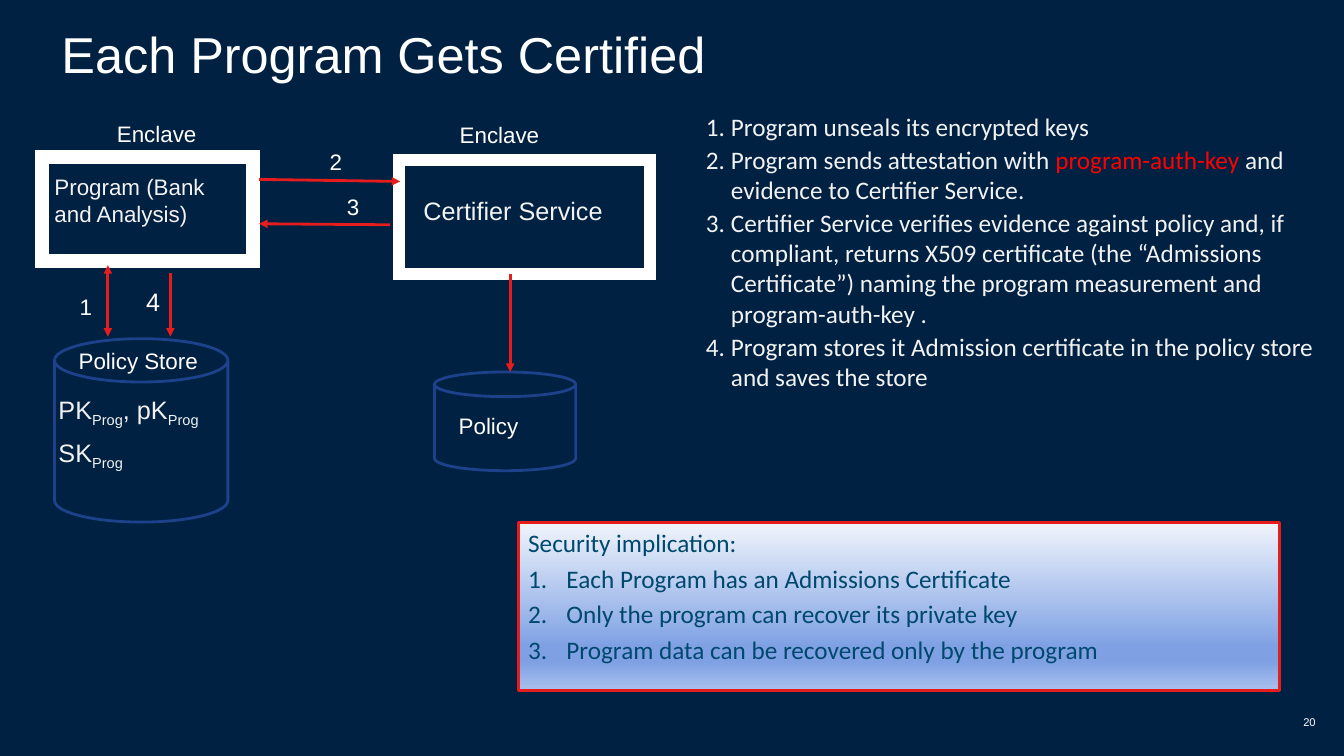
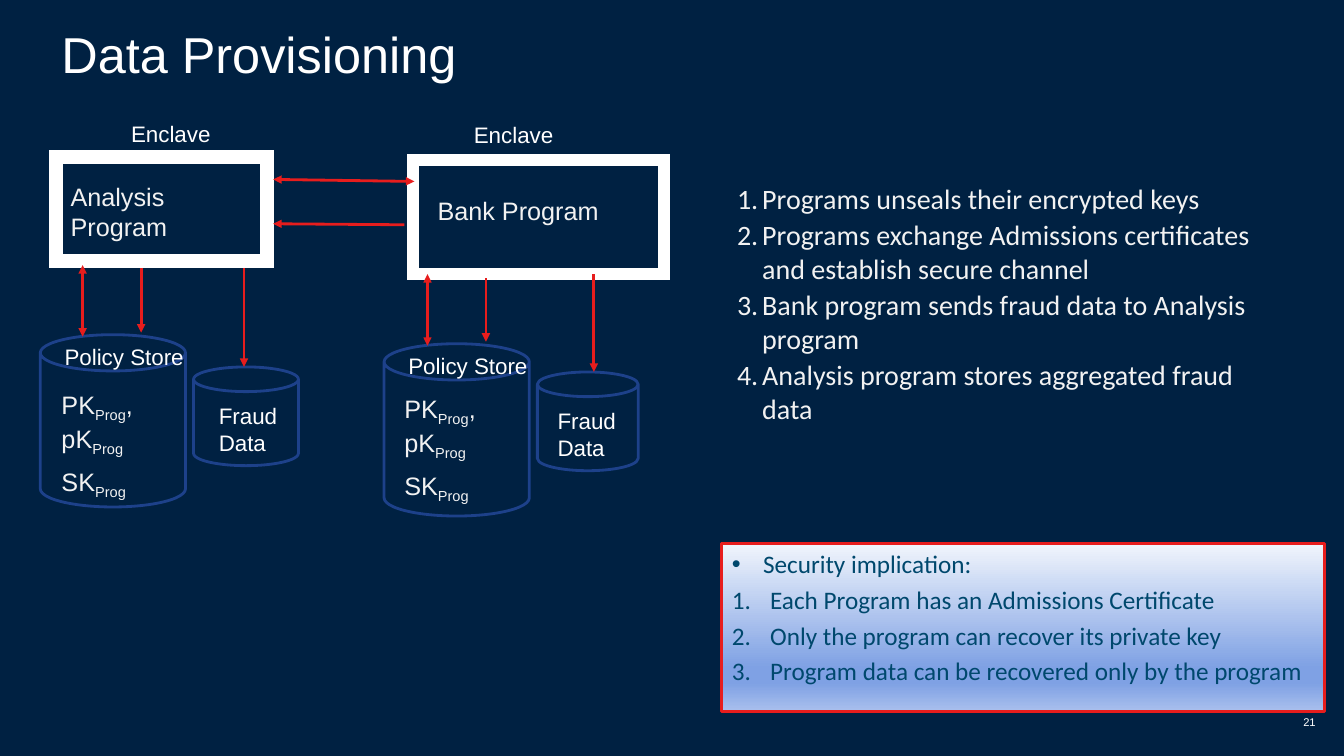
from copy import deepcopy
from dataclasses import dataclass
from typing import Optional

from lxml.etree import SubElement
from pptx import Presentation
from pptx.dml.color import RGBColor
from pptx.enum.shapes import MSO_CONNECTOR, MSO_SHAPE
from pptx.enum.text import MSO_ANCHOR, MSO_AUTO_SIZE, PP_ALIGN
from pptx.oxml.ns import qn
from pptx.util import Emu, Pt

PX = 9144  # EMU per px, 100 px to the inch
NAVY = RGBColor(0x00, 0x21, 0x42)
WHITE = RGBColor(0xFF, 0xFF, 0xFF)
PALE = RGBColor(0xF2, 0xF2, 0xF2)
RED = RGBColor(0xE7, 0x1D, 0x1D)
BRIGHT = RGBColor(0xFF, 0x00, 0x00)
BLUE = RGBColor(0x1D, 0x41, 0x8A)
TEAL = RGBColor(0x00, 0x48, 0x6D)
FADE = [
    (0, RGBColor(0xF1, 0xF5, 0xFC)),
    (0.74, RGBColor(0x7F, 0xA1, 0xE4)),
    (0.83, RGBColor(0x7F, 0xA1, 0xE4)),
    (1, RGBColor(0xAA, 0xC0, 0xED)),
]
SANS = "Arial"
BODY = "Calibri"


@dataclass(frozen=True)
class Box:
    x: int
    y: int
    w: int
    h: int

    def emu(self) -> list[Emu]:
        return [Emu(n * PX) for n in (self.x, self.y, self.w, self.h)]


@dataclass(frozen=True)
class Span:
    text: str
    color: Optional[RGBColor] = None
    sub: bool = False


@dataclass(frozen=True)
class Style:
    size: int
    color: RGBColor = WHITE
    font: str = SANS
    lead: float = 1.0
    before: int = 0
    after: int = 0
    align: PP_ALIGN = PP_ALIGN.LEFT


@dataclass(frozen=True)
class Label:
    box: Box
    text: str
    style: Style


@dataclass(frozen=True)
class Arrow:
    x1: int
    y1: int
    x2: int
    y2: int
    both: bool = False


@dataclass(frozen=True)
class Store:
    can: Box
    keys: Box


TITLE = Style(36, lead=0.9)
FOOT = Style(8, lead=0.9, align=PP_ALIGN.RIGHT)
TAG = Style(16, lead=1.3)
NAME = Style(16, after=6)
SMALL = Style(16, PALE, after=6)
LARGE = Style(18, PALE, after=6)
NOTE = Style(18, TEAL, BODY, after=4)

KEYS = [
    [Span("PK"), Span("Prog", sub=True), Span(", pK"), Span("Prog", sub=True)],
    [Span("SK"), Span("Prog", sub=True)],
]
CLAIMS = [
    "Security implication:",
    "Each Program has an Admissions Certificate",
    "Only the program can recover its private key",
    "Program data can be recovered only by the program",
]


def set_frame(frame, anchor=MSO_ANCHOR.TOP, pad: bool = False) -> None:
    frame.auto_size = MSO_AUTO_SIZE.NONE
    frame.word_wrap = True
    frame.vertical_anchor = anchor
    wide, high = (10, 5) if pad else (0, 0)
    frame.margin_left = frame.margin_right = Emu(wide * PX)
    frame.margin_top = frame.margin_bottom = Emu(high * PX)


def add_mark(para, mark: str, indent: int) -> None:
    """Give a paragraph a hanging number ("1.") or bullet sign."""
    props = para._p.get_or_add_pPr()
    props.set("marL", str(indent * PX))
    props.set("indent", str(-indent * PX))
    font = SubElement(props, qn("a:buFont"))
    font.set("typeface", BODY if mark == "1." else SANS)
    if mark == "1.":
        SubElement(props, qn("a:buAutoNum")).set("type", "arabicPeriod")
    else:
        SubElement(props, qn("a:buChar")).set("char", mark)


def write(frame, paras, style: Style, marks=()) -> None:
    """Fill a frame; marks holds one (sign, indent) or None per paragraph."""
    for i, spans in enumerate(paras):
        para = frame.paragraphs[0] if i == 0 else frame.add_paragraph()
        if marks and marks[i]:
            add_mark(para, *marks[i])
        para.alignment = style.align
        para.line_spacing = style.lead
        para.space_before = Pt(style.before if i else 0)
        para.space_after = Pt(style.after)
        for span in spans:
            run = para.add_run()
            run.text = span.text
            run.font.size = Pt(style.size)
            run.font.name = style.font
            run.font.color.rgb = span.color or style.color
            if span.sub:
                run._r.get_or_add_rPr().set("baseline", "-25000")


def add_text(slide, box: Box, paras, style: Style, anchor=MSO_ANCHOR.TOP) -> None:
    frame = slide.shapes.add_textbox(*box.emu()).text_frame
    set_frame(frame, anchor)
    write(frame, paras, style)


def add_label(slide, label: Label) -> None:
    add_text(slide, label.box, [[Span(label.text)]], label.style)


def add_form(slide, kind, box: Box, color: RGBColor, width: float):
    form = slide.shapes.add_shape(kind, *box.emu())
    form.shadow.inherit = False
    form.fill.background()
    form.line.color.rgb = color
    form.line.width = Pt(width)
    return form


def add_can(slide, box: Box) -> None:
    add_form(slide, MSO_SHAPE.CAN, box, BLUE, 2)


def add_frame(slide, box: Box, width: float) -> None:
    """Draw the thick, sharp-edged outline of an enclave."""
    form = add_form(slide, MSO_SHAPE.RECTANGLE, box, WHITE, width)
    SubElement(form.line._get_or_add_ln(), qn("a:miter")).set("lim", "800000")


def add_arrow(slide, arrow: Arrow) -> None:
    ends = [Emu(n * PX) for n in (arrow.x1, arrow.y1, arrow.x2, arrow.y2)]
    link = slide.shapes.add_connector(MSO_CONNECTOR.STRAIGHT, *ends)
    link.line.color.rgb = RED
    link.line.width = Pt(2)
    line = link.line._get_or_add_ln()
    for tag in ("a:headEnd", "a:tailEnd") if arrow.both else ("a:tailEnd",):
        SubElement(line, qn(tag)).set("type", "triangle")
    SubElement(link._element.spPr, qn("a:effectLst"))


def add_store(slide, store: Store) -> None:
    can = store.can
    add_can(slide, can)
    add_text(slide, store.keys, KEYS, LARGE)
    add_label(slide, Label(Box(can.x + 24, can.y + 8, 141, 31), "Policy Store", NAME))


def add_pair(slide, dx: int, left: Label, right: str, swap: bool) -> None:
    """Draw both enclaves and the two arrows between them."""
    add_frame(slide, Box(396 + dx, 159, 249, 113), 8.5)
    add_frame(slide, Box(42 + dx, 156, 209, 103), 10)
    add_label(slide, left)
    add_label(slide, Label(Box(420 + dx, 194, 220, 30), right, LARGE))
    for x, y in ((456, 112), (116, 111)):
        add_label(slide, Label(Box(x + dx, y, 134, 32), "Enclave", TAG))
    add_arrow(slide, Arrow(257 + dx, 178, 397 + dx, 180, swap))
    add_arrow(slide, Arrow(387 + dx, 223, 257 + dx, 222))


def add_claims(slide, box: Box, first) -> None:
    form = add_form(slide, MSO_SHAPE.RECTANGLE, box, RED, 2.25)
    form.fill.gradient()
    form.fill.gradient_angle = 270
    stops = form._element.spPr.find(".//" + qn("a:gsLst"))
    while len(stops) < len(FADE):
        stops.append(deepcopy(stops[0]))
    for stop, (place, color) in zip(form.fill.gradient_stops, FADE):
        stop.position = place
        stop.color.rgb = color
    set_frame(form.text_frame, pad=True)
    marks = [first] + [("1.", 38)] * 3
    write(form.text_frame, [[Span(text)] for text in CLAIMS], NOTE, marks)


def add_slide(deck, number: int, title: str, box: Box, steps, size: int):
    """Start a slide with its title, numbered steps and page number."""
    slide = deck.slides.add_slide(deck.slide_layouts[1])
    head, body = slide.shapes.title, slide.placeholders[1]
    for holder, place in ((head, Box(61, 19, 1203, 65)), (body, box)):
        holder.left, holder.top, holder.width, holder.height = place.emu()
    set_frame(head.text_frame, MSO_ANCHOR.BOTTOM)
    write(head.text_frame, [[Span(title)]], TITLE)
    set_frame(body.text_frame)
    style = Style(size, PALE, BODY, before=2)
    write(body.text_frame, steps, style, [("1.", 25)] * len(steps))
    page = Box(1257, 707, 48, 20)
    add_text(slide, page, [[Span(str(number))]], FOOT, MSO_ANCHOR.MIDDLE)
    return slide


def add_parts(slide, stores, cans, labels, arrows) -> None:
    for draw, parts in (
        (add_store, stores),
        (add_can, cans),
        (add_label, labels),
        (add_arrow, arrows),
    ):
        for part in parts:
            draw(slide, part)


def build_certs(deck) -> None:
    steps = [
        [Span("Program unseals its encrypted keys")],
        [
            Span("Program sends attestation with "),
            Span("program-auth-key ", BRIGHT),
            Span("and evidence to Certifier Service."),
        ],
        [Span("Certifier Service verifies evidence against policy and, if compliant, "
              "returns X509 certificate (the “Admissions Certificate”) naming the "
              "program measurement and program-auth-key .")],
        [Span("Program stores it Admission certificate in the policy store "
              "and saves the store")],
    ]
    slide = add_slide(deck, 20, "Each Program Gets Certified",
                      Box(700, 110, 615, 337), steps, 18)
    left = Label(Box(54, 172, 171, 66), "Program (Bank and Analysis)", SMALL)
    add_pair(slide, 0, left, "Certifier Service", False)
    add_parts(
        slide,
        [Store(Box(54, 336, 172, 182), Box(58, 391, 161, 95))],
        [Box(431, 369, 140, 98)],
        [
            Label(Box(455, 409, 86, 28), "Policy", NAME),
            Label(Box(79, 283, 29, 32), "1", TAG),
            Label(Box(327, 139, 34, 32), "2", TAG),
            Label(Box(344, 184, 34, 32), "3", TAG),
            Label(Box(145, 275, 20, 36), "4", Style(18, lead=1.3)),
        ],
        [
            Arrow(107, 263, 107, 334, True),
            Arrow(169, 271, 169, 334),
            Arrow(506, 272, 506, 369),
        ],
    )
    add_claims(slide, Box(514, 518, 755, 167), None)


def build_data(deck) -> None:
    steps = [
        [Span("Programs unseals their encrypted keys")],
        [Span("Programs exchange Admissions certificates and establish secure channel")],
        [Span("Bank program sends fraud data to Analysis program")],
        [Span("Analysis program stores aggregated fraud data")],
    ]
    slide = add_slide(deck, 21, "Data Provisioning", Box(731, 180, 519, 239), steps, 20)
    left = Label(Box(70, 180, 171, 60), "Analysis Program", LARGE)
    add_pair(slide, 14, left, "Bank Program", True)
    add_parts(
        slide,
        [
            Store(Box(40, 332, 144, 171), Box(61, 386, 111, 105)),
            Store(Box(381, 341, 144, 171), Box(401, 390, 109, 101)),
        ],
        [Box(192, 364, 104, 98), Box(533, 369, 100, 98)],
        [Label(Box(x, y, 86, 56), "Fraud Data", NAME) for x, y in ((217, 399), (553, 404))],
        [
            Arrow(82, 263, 82, 334, True),
            Arrow(140, 266, 140, 330),
            Arrow(242, 266, 242, 364),
            Arrow(424, 272, 424, 343, True),
            Arrow(482, 276, 482, 339),
            Arrow(589, 272, 589, 369),
        ],
    )
    add_claims(slide, Box(716, 539, 598, 167), ("•", 31))


def main() -> None:
    deck = Presentation()
    deck.slide_width, deck.slide_height = Emu(1333 * PX), Emu(750 * PX)
    ground = deck.slide_master.background.fill
    ground.solid()
    ground.fore_color.rgb = NAVY
    build_certs(deck)
    build_data(deck)
    deck.save("out.pptx")


if __name__ == "__main__":
    main()
